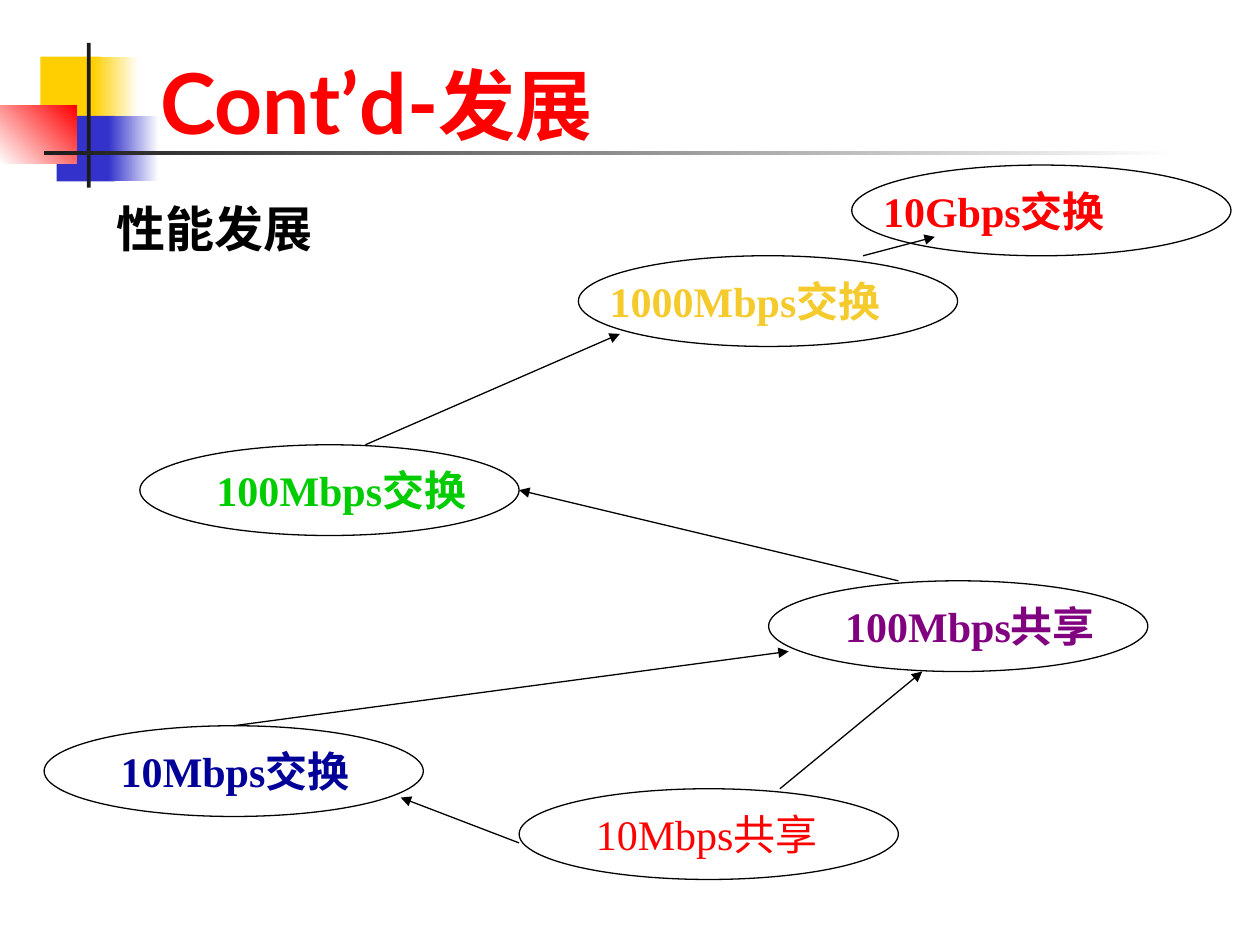
from lxml import etree
from pptx import Presentation
from pptx.dml.color import RGBColor
from pptx.enum.lang import MSO_LANGUAGE_ID
from pptx.enum.shapes import MSO_CONNECTOR, MSO_SHAPE
from pptx.enum.text import MSO_ANCHOR, MSO_AUTO_SIZE, PP_ALIGN
from pptx.oxml.ns import qn
from pptx.util import Inches, Pt

BLACK = RGBColor(0x00, 0x00, 0x00)
WHITE = RGBColor(0xFF, 0xFF, 0xFF)
CHARCOAL = RGBColor(0x1C, 0x1C, 0x1C)
GOLD = RGBColor(0xFF, 0xCF, 0x01)
BLUE = RGBColor(0x33, 0x33, 0xCC)
RED = RGBColor(0xFF, 0x00, 0x00)
NAVY = RGBColor(0x00, 0x00, 0x99)
GREEN = RGBColor(0x00, 0xCC, 0x00)
YELLOW = RGBColor(0xF5, 0xCA, 0x2D)
PURPLE = RGBColor(0x80, 0x00, 0x80)

HEADING_FONT = "Lato"
LABEL_FONT = "Times New Roman"
OVAL_WIDTH, OVAL_HEIGHT = 3.01, 0.72

# Stage: left, top, label indent, label width, colour, bold
STAGES = {
    "10Mbps共享": (4.12, 6.26, 0.51, 2.15, RED, False),
    "10Mbps交换": (0.35, 5.76, 0.51, 2.15, NAVY, True),
    "100Mbps交换": (1.11, 3.53, 0.51, 2.30, GREEN, True),
    "1000Mbps交换": (4.59, 2.03, 0.15, 2.48, YELLOW, True),
    "100Mbps共享": (6.10, 4.61, 0.51, 2.30, PURPLE, True),
    "10Gbps交换": (6.76, 1.31, 0.15, 2.15, RED, True),
}

# Upgrade step: start point, end point, stage whose top it leaves
STEPS = [
    ((4.12, 6.69), (3.18, 6.33), None),
    ((1.86, 5.76), (6.26, 5.17), "10Mbps交换"),
    ((2.90, 3.53), (4.92, 2.65), None),
    ((6.19, 6.26), (7.32, 5.33), None),
    ((7.13, 4.61), (4.12, 3.89), None),
    ((6.85, 2.03), (7.42, 1.88), None),
]


def inches(*lengths):
    return [Inches(length) for length in lengths]


def add_run(paragraph, text, font, size, color, bold=True, east_asian=HEADING_FONT):
    run = paragraph.add_run()
    run.text = text
    styles = {"name": font, "size": Pt(size), "bold": bold,
              "language_id": MSO_LANGUAGE_ID.SIMPLIFIED_CHINESE}
    for attribute, value in styles.items():
        setattr(run.font, attribute, value)
    run.font.color.rgb = color
    if east_asian:
        etree.SubElement(run.font._element, qn("a:ea")).set("typeface", east_asian)


def add_label(shapes, box, text, font, size, color, bold=True, wrap=False):
    label = shapes.add_textbox(*inches(*box))
    frame = label.text_frame
    frame.word_wrap = wrap
    frame.auto_size = MSO_AUTO_SIZE.SHAPE_TO_FIT_TEXT
    add_run(frame.paragraphs[0], text, font, size, color, bold)
    return frame.paragraphs[0]


def add_block(slide, box, start, end=None, angle=0):
    block = slide.shapes.add_shape(MSO_SHAPE.RECTANGLE, *inches(*box))
    block.shadow.inherit = False
    block.line.fill.background()
    if end is None:
        block.fill.solid()
        block.fill.fore_color.rgb = start
        return
    block.fill.gradient()
    block.fill.gradient_angle = angle
    for stop, color, position in zip(block.fill.gradient_stops, (start, end), (0, 1)):
        stop.color.rgb = color
        stop.position = position


def add_ornament(slide, left, top):
    """Coloured blocks crossed by two dark rules."""
    blocks = [
        ((0.32, 0.11, 0.48, 0.52), GOLD),
        ((0.74, 0.11, 0.36, 0.52), GOLD, WHITE),
        ((0.45, 0.58, 0.46, 0.52), BLUE),
        ((0.86, 0.58, 0.40, 0.52), BLUE, WHITE),
        ((0.00, 0.50, 0.61, 0.46), WHITE, RED, 45),
        ((0.69, 0.00, 0.03, 1.15), CHARCOAL),
        ((0.35, 0.86, 9.00, 0.03), CHARCOAL, WHITE),
    ]
    for (x, y, width, height), *fill in blocks:
        add_block(slide, (left + x, top + y, width, height), *fill)


def set_title(slide, box):
    title = slide.shapes.title
    title.left, title.top, title.width, title.height = inches(*box)
    frame = title.text_frame
    frame.vertical_anchor = MSO_ANCHOR.BOTTOM
    frame.auto_size = MSO_AUTO_SIZE.NONE
    heading = frame.paragraphs[0]
    heading.alignment = PP_ALIGN.LEFT
    # The apostrophe keeps the theme's full-width East Asian glyph
    for text, font, size, east_asian in [
            ("Cont", HEADING_FONT, 48, HEADING_FONT),
            ("’", LABEL_FONT, 48, None),
            ("d-", HEADING_FONT, 48, HEADING_FONT),
            ("发展", HEADING_FONT, 44, HEADING_FONT)]:
        add_run(heading, text, font, size, RED, east_asian=east_asian)


def add_stage(slide, name, left, top, indent, label_width, color, bold):
    """Outlined oval grouped with its label."""
    stage = slide.shapes.add_group_shape()
    oval = stage.shapes.add_shape(
        MSO_SHAPE.OVAL, *inches(left, top, OVAL_WIDTH, OVAL_HEIGHT))
    oval.shadow.inherit = False
    oval.fill.background()
    oval.line.color.rgb = BLACK
    oval.line.width = Pt(0.75)
    # Wrapping keeps the left edge fixed; each width holds its label on one line
    add_label(stage.shapes, (left + indent, top + 0.11, label_width, 0.5),
              name, LABEL_FONT, 24, color, bold, wrap=True)
    return oval


def add_step(slide, start, end, source=None):
    arrow = slide.shapes.add_connector(MSO_CONNECTOR.STRAIGHT, *inches(*start, *end))
    if source is not None:
        arrow.begin_connect(source, 0)
    arrow.line.color.rgb = BLACK
    arrow.line.width = Pt(0.75)
    etree.SubElement(arrow.line._get_or_add_ln(), qn("a:tailEnd")).set("type", "triangle")
    etree.SubElement(arrow._element.spPr, qn("a:effectLst"))


def add_roadmap(slide):
    ovals = {name: add_stage(slide, name, *stage) for name, stage in STAGES.items()}
    for start, end, source in STEPS:
        add_step(slide, start, end, ovals.get(source))


def main():
    presentation = Presentation()
    presentation.slide_width, presentation.slide_height = inches(10, 7.5)
    slide = presentation.slides.add_slide(presentation.slide_layouts[5])

    add_ornament(slide, 0, 0.34)
    set_title(slide, (1.17, 0.25, 8.52, 1))
    add_roadmap(slide)
    subtitle = add_label(slide.shapes, (0.83, 1.58, 2.42, 0.52), "性能发展",
                         HEADING_FONT, 28, BLACK, wrap=True)
    subtitle.line_spacing = 0.9

    presentation.save("out.pptx")


if __name__ == "__main__":
    main()
